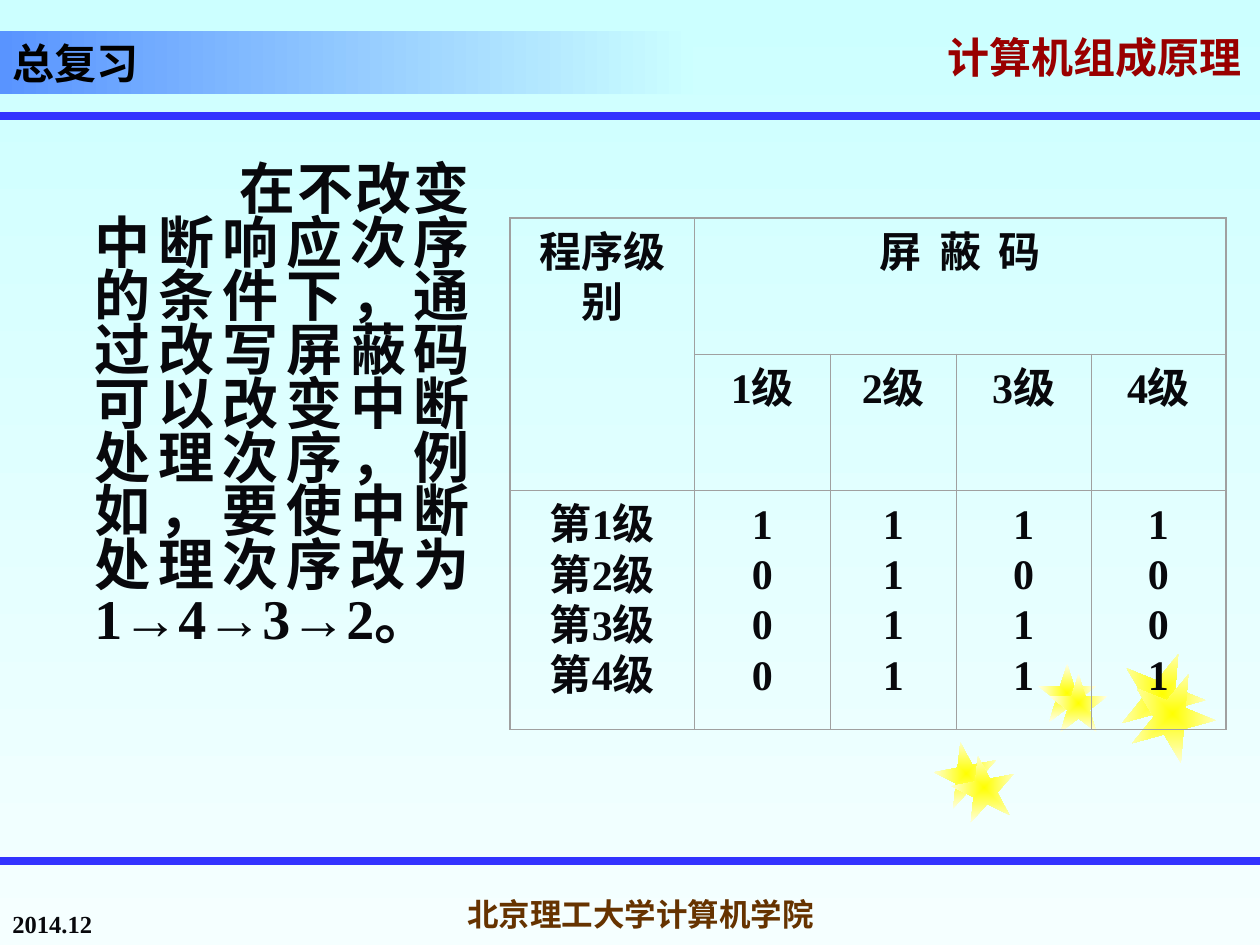
import pptx
import pptx.util
import pptx.dml.color
import pptx.enum.shapes
import pptx.enum.text
import pptx.oxml
import pptx.oxml.ns

Inches = pptx.util.Inches
Pt = pptx.util.Pt
ALIGN = pptx.enum.text.PP_ALIGN
ANCHOR = pptx.enum.text.MSO_ANCHOR
NS = pptx.oxml.ns.nsdecls("a")
COLORS = {
    "sky": "CCFFFF", "pale": "F5FFFF", "banner": "5994FF", "rule": "3333FF",
    "star": "FFFF00", "star_edge": "FFFFE9", "course": "990000",
    "school": "663300", "title": "000000", "text": "08080C", "grid": "A0A0A0",
}


def style_text(frame, size, color, align=ALIGN.LEFT, spacing=None):
    for paragraph in frame.paragraphs:
        paragraph.alignment = align
        paragraph.line_spacing = spacing
        for run in paragraph.runs:
            run.font.size = Pt(size)
            run.font.bold = True
            run.font.name = "Times New Roman"
            run.font.color.rgb = pptx.dml.color.RGBColor.from_string(COLORS[color])
            run.font._element.append(pptx.oxml.parse_xml(f'<a:ea {NS} typeface="Noto Sans CJK SC"/>'))


def set_gradient(fill, start, end, angle=0):
    fill.gradient()
    fill.gradient_angle = angle
    for stop, color in zip(fill.gradient_stops, (start, end)):
        stop.color.rgb = pptx.dml.color.RGBColor.from_string(COLORS[color])


deck = pptx.Presentation()
deck.slide_width = Inches(10)
deck.slide_height = Inches(7.5)
slide = deck.slides.add_slide(deck.slide_layouts[6])
set_gradient(slide.background.fill, "sky", "pale", 270)

stars = [
    (7.42, 5.89, 0.5, 349), (8.24, 5.27, 0.46, 0), (8.89, 5.17, 0.67, 22),
    (7.56, 6, 0.5, 349), (8.33, 5.35, 0.46, 0), (8.97, 5.33, 0.67, 22),
]
for left, top, size, rotation in stars:
    star = slide.shapes.add_shape(
        pptx.enum.shapes.MSO_SHAPE.STAR_5_POINT,
        Inches(left), Inches(top), Inches(size), Inches(size))
    star.rotation = rotation
    star.shadow.inherit = False
    star.line.fill.background()
    set_gradient(star.fill, "star", "star_edge")
    linear = star._element.spPr.find(".//" + pptx.oxml.ns.qn("a:lin"))
    linear.getparent().replace(linear, pptx.oxml.parse_xml(
        f'<a:path {NS} path="rect"><a:fillToRect l="50000" t="50000" r="50000" b="50000"/></a:path>'))

for height in (0.92, 6.83):
    rule = slide.shapes.add_connector(
        pptx.enum.shapes.MSO_CONNECTOR.STRAIGHT, 0, Inches(height), Inches(10), Inches(height))
    rule.line.width = Pt(4.5)
    rule.line.color.rgb = pptx.dml.color.RGBColor.from_string(COLORS["rule"])
    rule._element.spPr.append(pptx.oxml.parse_xml(f"<a:effectLst {NS}/>"))

labels = [
    ("计算机组成原理", 7.42, 0.25, 2.58, 0.5, 24, "course", ALIGN.LEFT, ANCHOR.MIDDLE, 0.7),
    ("总复习", 0, 0.25, 5.5, 0.5, 24, "title", ALIGN.LEFT, ANCHOR.BOTTOM, None),
    ("在不改变中断响应次序的条件下，通过改写屏蔽码可以改变中断处理次序，"
     "例如，要使中断处理次序改为1→4→3→2。",
     0.27, 1.27, 3.56, 5.52, 32, "text", ALIGN.JUSTIFY, ANCHOR.TOP, 0.8),
    ("北京理工大学计算机学院", 3.5, 7, 3.17, 0.5, 18, "school", ALIGN.CENTER, ANCHOR.MIDDLE, None),
    ("2014.12", 0, 7, 2.08, 0.5, 14, "text", ALIGN.LEFT, ANCHOR.BOTTOM, None),
]
boxes = []
for wording, left, top, width, height, size, color, align, anchor, spacing in labels:
    box = slide.shapes.add_textbox(Inches(left), Inches(top), Inches(width), Inches(height))
    box.text_frame.word_wrap = True
    box.text_frame.vertical_anchor = anchor
    box.text_frame.text = wording
    style_text(box.text_frame, size, color, align, spacing)
    boxes.append(box)
course, title, explanation, school, date = boxes

set_gradient(title.fill, "banner", "sky")
indents = explanation.text_frame.paragraphs[0]._p.get_or_add_pPr()
indents.set("marL", str(Inches(0.38)))
indents.set("indent", str(Inches(1.15)))

mask_rows = [
    ["程序级别", "屏 蔽 码", "", "", ""],
    ["", "1级", "2级", "3级", "4级"],
    ["第1级\n第2级\n第3级\n第4级", "1\n0\n0\n0", "1\n1\n1\n1", "1\n0\n1\n1", "1\n0\n0\n1"],
]
column_widths = [1.46, 1.08, 1, 1.07, 1.07]
row_heights = [1.08, 1.08, 1.9]
masks = slide.shapes.add_table(
    3, 5, Inches(4.05), Inches(1.73), Inches(sum(column_widths)), Inches(sum(row_heights))).table
masks.first_row = False
masks.horz_banding = False
for column, width in zip(masks.columns, column_widths):
    column.width = Inches(width)
for row, height in zip(masks.rows, row_heights):
    row.height = Inches(height)
masks.cell(0, 0).merge(masks.cell(1, 0))
masks.cell(0, 1).merge(masks.cell(0, 4))

for r, row in enumerate(mask_rows):
    for c, wording in enumerate(row):
        cell = masks.cell(r, c)
        cell.margin_left = cell.margin_right = Inches(0.22)
        cell.margin_top = Inches(0.09 if r < 2 or c == 0 else 0.06)
        spans_to_right = r == 0 and c > 0
        edges = {"lnL": c == 0, "lnR": c == 4 or spans_to_right, "lnT": r == 0, "lnB": r == 2}
        for edge, outer in edges.items():
            cell._tc.get_or_add_tcPr().append(pptx.oxml.parse_xml(
                f'<a:{edge} {NS} w="{Pt(1.25 if outer else 0.5)}"><a:solidFill>'
                f'<a:srgbClr val="{COLORS["grid"]}"/></a:solidFill></a:{edge}>'))
        cell.fill.background()
        if wording:
            cell.text_frame.text = wording
            style_text(cell.text_frame, 24, "text", ALIGN.CENTER, Pt(28.8))
masks.cell(0, 1).text_frame.paragraphs[0].runs[0].font._element.set("spc", "225")

deck.save("out.pptx")
